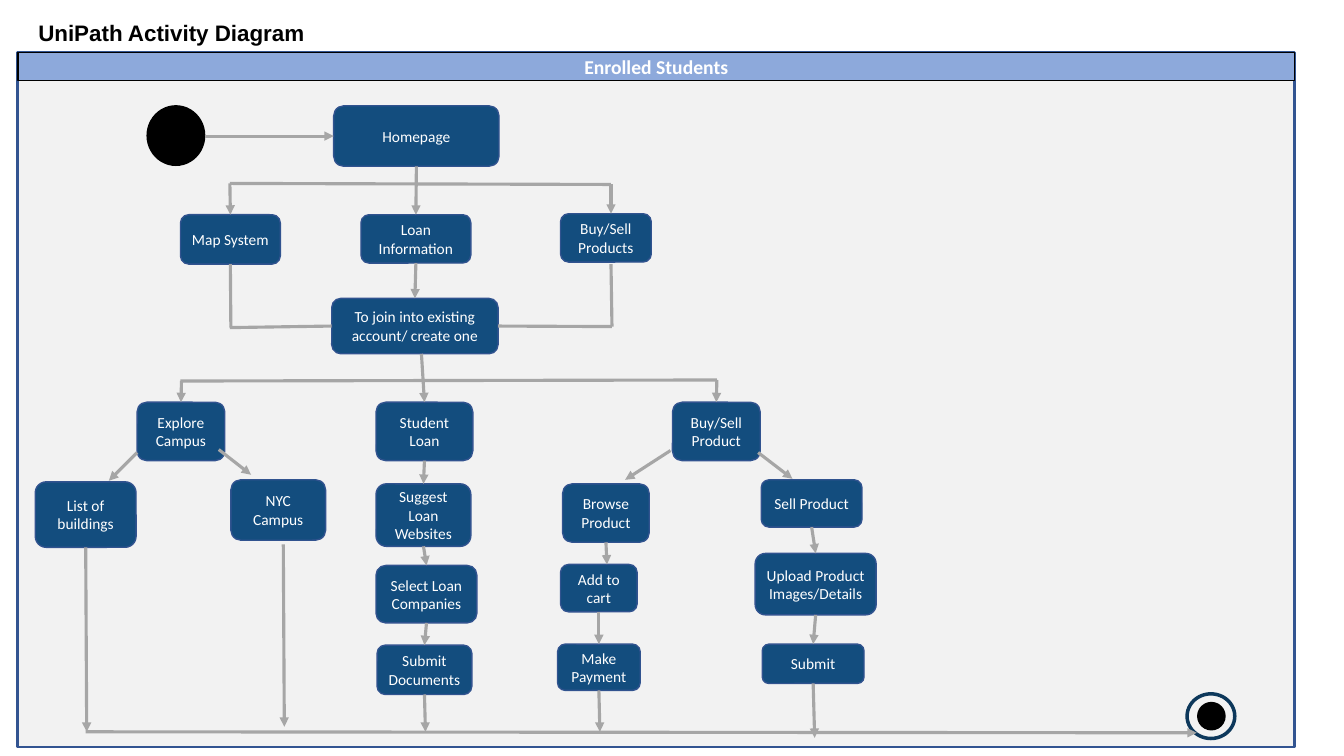
from lxml.etree import SubElement
from pptx import Presentation
from pptx.dml.color import RGBColor
from pptx.enum.shapes import MSO_CONNECTOR, MSO_SHAPE
from pptx.enum.text import MSO_ANCHOR, MSO_AUTO_SIZE, PP_ALIGN
from pptx.oxml.ns import qn
from pptx.util import Inches, Pt

TITLE = "UniPath Activity Diagram"
LANE = "Enrolled Students"
ACCOUNT = "To join into existing account/ create one"

# Step: left, top, width, height
STEPS = {
    "Homepage": (3.31, 1.05, 1.64, 0.6),
    "Map System": (1.79, 2.13, 0.99, 0.49),
    "Loan Information": (3.58, 2.13, 1.09, 0.48),
    "Buy/Sell Products": (5.56, 2.12, 0.9, 0.48),
    ACCOUNT: (3.29, 2.96, 1.65, 0.55),
    "Explore Campus": (1.36, 3.99, 0.87, 0.58),
    "Student Loan": (3.73, 3.99, 0.96, 0.58),
    "Buy/Sell Product": (6.67, 3.99, 0.87, 0.58),
    "List of buildings": (0.35, 4.78, 1, 0.65),
    "NYC Campus": (2.29, 4.76, 0.94, 0.6),
    "Suggest Loan Websites": (3.73, 4.8, 0.94, 0.62),
    "Select Loan Companies": (3.73, 5.61, 1, 0.57),
    "Submit Documents": (3.74, 6.4, 0.94, 0.49),
    "Browse Product": (5.58, 4.8, 0.86, 0.58),
    "Add to cart": (5.56, 5.6, 0.76, 0.47),
    "Make Payment": (5.53, 6.39, 0.82, 0.46),
    "Sell Product": (7.55, 4.76, 1, 0.47),
    "Upload Product Images/Details": (7.49, 5.49, 1.2, 0.61),
    "Submit": (7.56, 6.39, 1.01, 0.39),
}
TOP, LEFT, BOTTOM, RIGHT = range(4)

# An end is either (step, side) or a point (x, y)
ARROWS = [
    ((2.03, 1.35), ("Homepage", LEFT)),
    ((2.28, 1.82), ("Map System", TOP)),
    (("Homepage", BOTTOM), ("Loan Information", TOP)),
    ((6.06, 1.83), (6.06, 2.12)),
    (("Loan Information", BOTTOM), (ACCOUNT, TOP)),
    ((1.8, 3.78), ("Explore Campus", TOP)),
    ((4.18, 3.51), ("Student Loan", TOP)),
    ((7.11, 3.77), ("Buy/Sell Product", TOP)),
    ((1.36, 4.49), (1.08, 4.77)),
    ((2.17, 4.46), (2.49, 4.71)),
    ((6.65, 4.47), (6.2, 4.76)),
    ((7.52, 4.49), (7.86, 4.75)),
    (("Student Loan", BOTTOM), ("Suggest Loan Websites", TOP)),
    (("Suggest Loan Websites", BOTTOM), ("Select Loan Companies", TOP)),
    (("Select Loan Companies", BOTTOM), ("Submit Documents", TOP)),
    (("Browse Product", BOTTOM), (6.02, 5.6)),
    (("Add to cart", BOTTOM), ("Make Payment", TOP)),
    (("Sell Product", BOTTOM), ("Upload Product Images/Details", TOP)),
    (("Upload Product Images/Details", BOTTOM), ("Submit", TOP)),
    (("List of buildings", BOTTOM), (0.86, 7.26)),
    ((2.81, 5.4), (2.82, 7.21)),
    (("Submit Documents", BOTTOM), (4.22, 7.26)),
    (("Make Payment", BOTTOM), (5.95, 7.26)),
    (("Submit", BOTTOM), (8.08, 7.32)),
    ((0.85, 7.26), (11.87, 7.27)),
]
PLAIN_LINES = [
    ((2.28, 1.82), (6.06, 1.83)),
    (("Map System", BOTTOM), (2.29, 3.25)),
    ((2.28, 3.25), (ACCOUNT, LEFT)),
    ((6.06, 2.62), (6.07, 3.24)),
    ((6.07, 3.24), (ACCOUNT, RIGHT)),
    ((1.79, 3.78), (7.11, 3.77)),
]


def color(hex_code):
    return RGBColor.from_string(hex_code)


def write(shape, text, font_format, align):
    frame = shape.text_frame
    frame.text = text
    frame.word_wrap = True
    paragraph = frame.paragraphs[0]
    paragraph.alignment = align
    for name in ("name", "size", "bold"):
        setattr(paragraph.font, name, font_format[name])
    paragraph.font.color.rgb = color(font_format["color"])


def add_box(slide, kind, box, fill, line, width, text=None, font_format=None):
    shape = slide.shapes.add_shape(kind, *map(Inches, box))
    shape.shadow.inherit = False
    shape.fill.solid()
    shape.fill.fore_color.rgb = color(fill)
    shape.line.color.rgb = color(line)
    shape.line.width = Pt(width)
    if text:
        margins = {"margin_left": 0.07, "margin_right": 0.07,
                   "margin_top": 0.04, "margin_bottom": 0.04}
        for side, inset in margins.items():
            setattr(shape.text_frame, side, Inches(inset))
        shape.text_frame.vertical_anchor = MSO_ANCHOR.MIDDLE
        write(shape, text, font_format, PP_ALIGN.CENTER)
    return shape


def add_flow(slide, nodes, begin, end, arrow):
    """Draw a grey line; ends named after a step are joined to it."""
    points = [(0, 0) if isinstance(e[0], str) else e for e in (begin, end)]
    flow = slide.shapes.add_connector(
        MSO_CONNECTOR.STRAIGHT, *(Inches(v) for point in points for v in point))
    for (node, side), join in ((begin, flow.begin_connect), (end, flow.end_connect)):
        if isinstance(node, str):
            join(nodes[node], side)
    flow.line.color.rgb = color("A6A6A6")
    flow.line.width = Pt(2.25)
    outline = flow.get_or_add_ln()
    if arrow:
        SubElement(outline, qn("a:tailEnd"), type="triangle")
    SubElement(outline.getparent(), qn("a:effectLst"))


def main():
    deck = Presentation()
    deck.slide_width, deck.slide_height = Inches(13.33), Inches(7.5)
    slide = deck.slides.add_slide(deck.slide_layouts[5])

    title = slide.shapes.title
    title_box = {"left": 0.28, "top": 0.14, "width": 2.96, "height": 0.37}
    for name, length in title_box.items():
        setattr(title, name, Inches(length))
    title.text_frame.auto_size = MSO_AUTO_SIZE.NONE
    title.text_frame.vertical_anchor = MSO_ANCHOR.MIDDLE
    write(title, TITLE, {"name": "Arial", "size": Pt(16), "bold": True,
                         "color": "000000"}, PP_ALIGN.LEFT)

    step_font = {"name": "Calibri", "size": Pt(11), "bold": False, "color": "FFFFFF"}
    lane_font = {**step_font, "size": Pt(14), "bold": True}
    add_box(slide, MSO_SHAPE.RECTANGLE, (0.17, 0.52, 12.67, 6.89), "F2F2F2", "325491", 2)
    add_box(slide, MSO_SHAPE.RECTANGLE, (0.18, 0.52, 12.66, 0.28), "8DA9DB", "000000", 1,
            LANE, lane_font)

    add_box(slide, MSO_SHAPE.OVAL, (1.46, 1.05, 0.57, 0.59), "000000", "000000", 1)
    nodes = {step: add_box(slide, MSO_SHAPE.ROUNDED_RECTANGLE, box,
                           "134D7E", "31538F", 1, step, step_font)
             for step, box in STEPS.items()}

    end_ring = add_box(slide, MSO_SHAPE.DONUT, (11.77, 6.88, 0.48, 0.45),
                       "134D7E", "0D385B", 2)
    end_ring.adjustments[0] = 0.015
    add_box(slide, MSO_SHAPE.OVAL, (11.88, 6.97, 0.27, 0.27), "000000", "000000", 1)

    for flows, arrow in ((PLAIN_LINES, False), (ARROWS, True)):
        for begin, end in flows:
            add_flow(slide, nodes, begin, end, arrow)

    deck.save("out.pptx")


if __name__ == "__main__":
    main()
